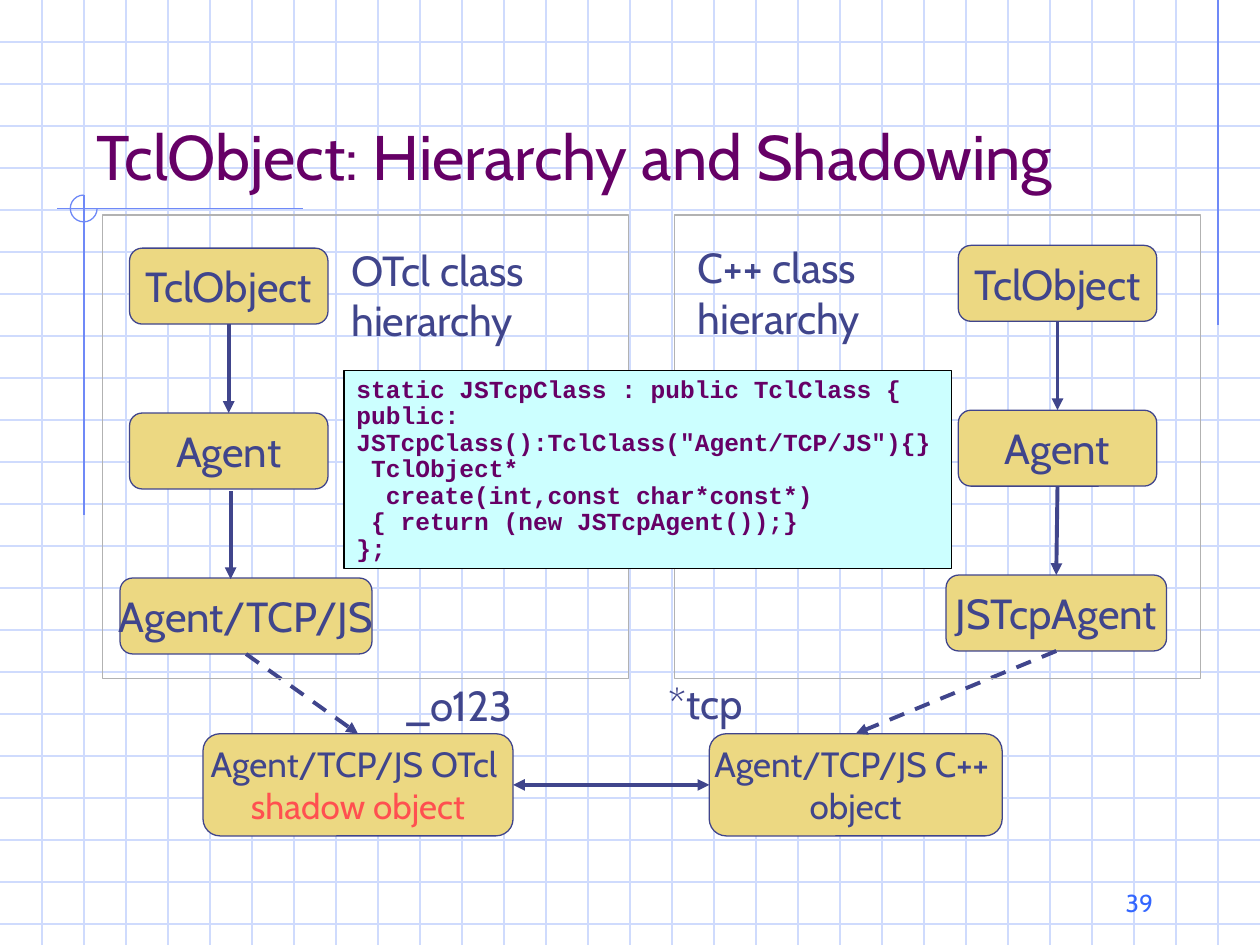
from pptx import Presentation
from pptx.dml.color import RGBColor
from pptx.enum.dml import MSO_LINE
from pptx.enum.shapes import MSO_CONNECTOR, MSO_SHAPE
from pptx.enum.text import MSO_ANCHOR, MSO_AUTO_SIZE, PP_ALIGN
from pptx.oxml.ns import qn
from pptx.util import Pt
from lxml import etree

RECT, ROUNDED, ARC = MSO_SHAPE.RECTANGLE, MSO_SHAPE.ROUNDED_RECTANGLE, MSO_SHAPE.ARC
TOP, LEFT, BOTTOM, RIGHT = range(4)
NAVY, PURPLE, GOLD = "40458C", "660066", "ECD882"
GRID_BLUE, RULE_BLUE = "CFDBFD", "6F89F7"
GRID = 24
WIDTH, HEIGHT = 720, 540

rgb = RGBColor.from_string

prs = Presentation()
prs.slide_width, prs.slide_height = Pt(WIDTH), Pt(HEIGHT)
slide = prs.slides.add_slide(prs.slide_layouts[6])
shapes = slide.shapes


def add_line(x1, y1, x2, y2, color, weight=0.75, ends=()):
    """Draw a line; ends lists the arrowheads: headEnd at the start, tailEnd at the finish."""
    line = shapes.add_connector(MSO_CONNECTOR.STRAIGHT, Pt(x1), Pt(y1), Pt(x2), Pt(y2))
    line.line.color.rgb = rgb(color)
    line.line.width = Pt(weight)
    for end in ends:
        etree.SubElement(line.line._get_or_add_ln(), qn("a:" + end), type="triangle")
    etree.SubElement(line._element.spPr, qn("a:effectLst"))
    return line


def write(shape, lines, size, color=NAVY, font="Cabin", align=PP_ALIGN.LEFT,
          anchor=MSO_ANCHOR.TOP, wrap=False, bold=False, spacing=None):
    """Fill a shape with one paragraph per line; a line may be a (text, colour) pair."""
    frame = shape.text_frame
    frame.word_wrap = wrap
    frame.vertical_anchor = anchor
    for i, line in enumerate(lines):
        text, line_color = line if isinstance(line, tuple) else (line, color)
        paragraph = frame.add_paragraph() if i else frame.paragraphs[0]
        paragraph.alignment = align
        paragraph.line_spacing = spacing
        run = paragraph.add_run()
        run.text = text
        run.font.name = font
        run.font.size = Pt(size)
        run.font.bold = bold
        run.font.color.rgb = rgb(line_color)


# Graph-paper background
for y in range(GRID, HEIGHT, GRID):
    add_line(0, y, WIDTH, y, GRID_BLUE)
for x in range(GRID, WIDTH, GRID):
    add_line(x, 0, x, HEIGHT, GRID_BLUE)

# Corner rules and the open circle where they cross
add_line(696, 0, 696, 186, RULE_BLUE)
add_line(173, 119.3, 32.5, 119.3, RULE_BLUE)
add_line(48, 111.5, 48, 294.5, RULE_BLUE)
circle = shapes.add_shape(ARC, Pt(40.2), Pt(111.5), Pt(15.3), Pt(15.3))
circle.adjustments[0] = 0
circle.adjustments[1] = 162
circle.fill.background()
circle.line.color.rgb = rgb(RULE_BLUE)
circle.line.width = Pt(0.75)
circle.shadow.inherit = False

# Title and page number
title = shapes.add_textbox(Pt(48), Pt(24), Pt(636.5), Pt(90))
write(title, ["TclObject: Hierarchy and Shadowing"], 36, PURPLE,
      anchor=MSO_ANCHOR.BOTTOM, wrap=True)
page_number = shapes.add_textbox(Pt(516), Pt(492), Pt(150), Pt(36))
write(page_number, ["39"], 14, "3366FF", align=PP_ALIGN.RIGHT,
      anchor=MSO_ANCHOR.BOTTOM, wrap=True)

# Class and object boxes
boxes = {}
for key, x, y, w, h, size, lines in [
    ("otcl root", 74, 141.8, 113.4, 43.4, 24, ["TclObject"]),
    ("otcl agent", 74, 236, 113.4, 43.4, 24, ["Agent"]),
    ("otcl tcp", 68.6, 330.3, 144, 43.4, 24, ["Agent/TCP/JS"]),
    ("otcl object", 116, 419.3, 177.2, 58.4, 20,
     ["Agent/TCP/JS OTcl ", ("shadow object", "FF5050")]),
    ("cpp root", 547.6, 140.2, 113.4, 43.4, 24, ["TclObject"]),
    ("cpp agent", 547.6, 234.4, 113.4, 43.4, 24, ["Agent"]),
    ("cpp tcp", 540.6, 328.6, 126, 43.4, 24, ["JSTcpAgent"]),
    ("cpp object", 405.3, 419.3, 167.4, 58.4, 20, ["Agent/TCP/JS C++ ", "object"]),
]:
    box = shapes.add_shape(ROUNDED, Pt(x), Pt(y), Pt(w), Pt(h))
    box.fill.solid()
    box.fill.fore_color.rgb = rgb(GOLD)
    box.line.color.rgb = rgb(NAVY)
    box.line.width = Pt(0.75)
    box.shadow.inherit = False
    write(box, lines, size, align=PP_ALIGN.CENTER, anchor=MSO_ANCHOR.MIDDLE)
    boxes[key] = box

# Arrows between boxes
for start, start_side, finish, finish_side, dashed, ends in [
    ("otcl root", BOTTOM, "otcl agent", TOP, False, ["tailEnd"]),
    ("otcl tcp", BOTTOM, "otcl object", TOP, True, ["tailEnd"]),
    ("otcl object", RIGHT, "cpp object", LEFT, False, ["headEnd", "tailEnd"]),
    ("cpp root", BOTTOM, "cpp agent", TOP, False, ["tailEnd"]),
    ("cpp agent", BOTTOM, "cpp tcp", TOP, False, ["tailEnd"]),
    ("cpp tcp", BOTTOM, "cpp object", TOP, True, ["tailEnd"]),
]:
    arrow = add_line(0, 0, 0, 0, NAVY, 2.25, ends)
    arrow.begin_connect(boxes[start], start_side)
    arrow.end_connect(boxes[finish], finish_side)
    if dashed:
        arrow.line.dash_style = MSO_LINE.DASH
add_line(131.8, 280.6, 131.8, 331, NAVY, 2.25, ["tailEnd"])

# Labels
for x, y, w, h, lines in [
    (225.4, 384.5, 80.6, 36, ["_o123"]),
    (375.1, 383.8, 62.6, 36, ["*tcp"]),
    (193.7, 136.1, 124.6, 64.8, ["OTcl class", "hierarchy"]),
    (391.7, 134.6, 121, 64.8, ["C++ class", "hierarchy"]),
]:
    label = shapes.add_textbox(Pt(x), Pt(y), Pt(w), Pt(h))
    write(label, lines, 24)
    label.text_frame.auto_size = MSO_AUTO_SIZE.SHAPE_TO_FIT_TEXT

# Frames around the two hierarchies
for x in (385.3, 58.5):
    hierarchy_frame = shapes.add_shape(RECT, Pt(x), Pt(122.9), Pt(300.8), Pt(264.7))
    hierarchy_frame.fill.background()
    hierarchy_frame.line.color.rgb = rgb("B2B2B2")
    hierarchy_frame.line.width = Pt(0.75)
    hierarchy_frame.shadow.inherit = False

# Code that links both hierarchies
code = shapes.add_shape(RECT, Pt(196.6), Pt(211.9), Pt(347), Pt(113.2))
code.fill.solid()
code.fill.fore_color.rgb = rgb("CCFFFF")
code.line.color.rgb = rgb("000000")
code.line.width = Pt(0.75)
code.shadow.inherit = False
write(code, [
    "static JSTcpClass : public TclClass {",
    "public:",
    'JSTcpClass():TclClass("Agent/TCP/JS"){}',
    " TclObject*",
    "  create(int,const char*const*)",
    " { return (new JSTcpAgent());}",
    "};",
], 14, PURPLE, font="Courier New", wrap=True, bold=True, spacing=0.9)

prs.save("out.pptx")
